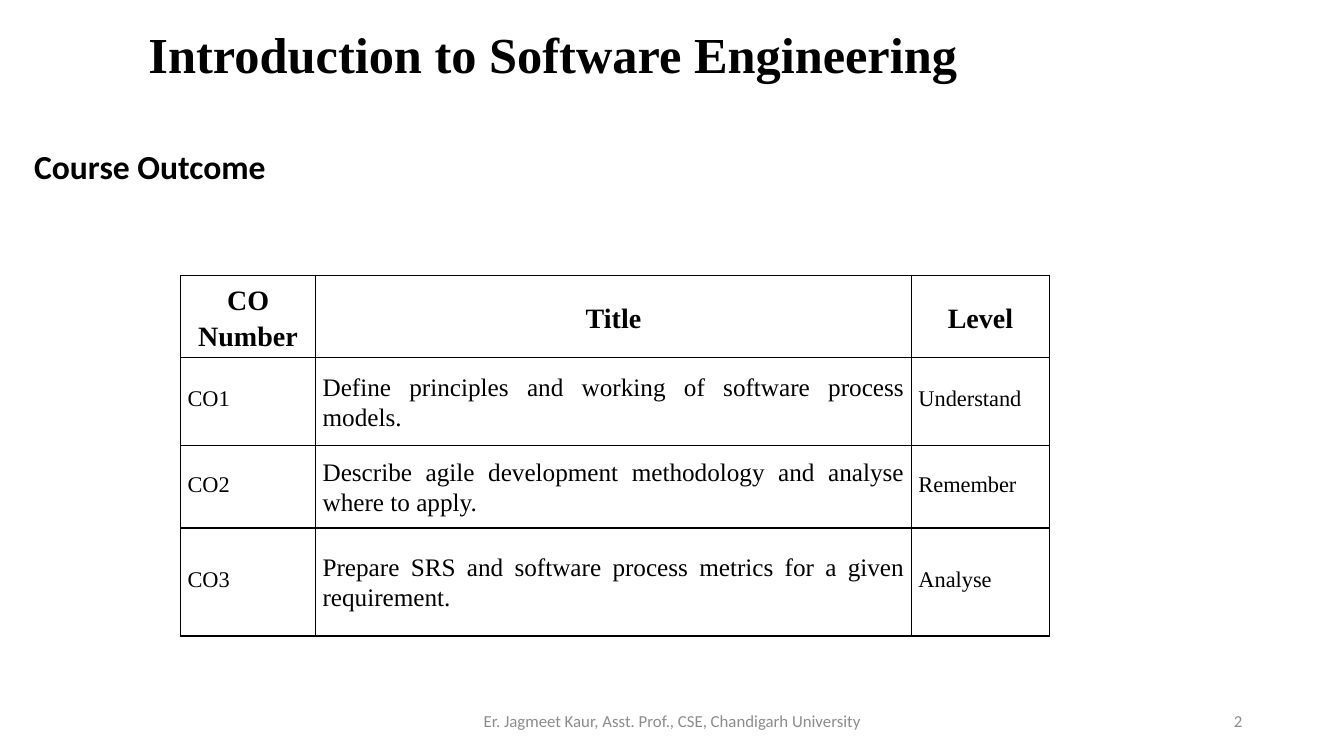
from lxml import etree
from pptx import Presentation
from pptx import util as u
from pptx.dml.color import RGBColor
from pptx.enum import text as t
from pptx.oxml.ns import qn

COLORS = {"ink": "000000", "muted": "8C8C8C", "paper": "FFFFFF"}
SERIF, SANS = "Times New Roman", "Calibri"
LEFT, CENTER, RIGHT, JUSTIFY = (
    t.PP_ALIGN.LEFT, t.PP_ALIGN.CENTER, t.PP_ALIGN.RIGHT, t.PP_ALIGN.JUSTIFY)
TOP, MIDDLE = t.MSO_ANCHOR.TOP, t.MSO_ANCHOR.MIDDLE

LABELS = [
    ("Introduction to Software Engineering", (1.05, 0.25, 8.87, 0.86),
     dict(size=36, font=SERIF, bold=True, align=CENTER, spacing=0.9)),
    ("Course Outcome", (0.24, 1.4, 2.6, 0.5), dict(size=24, bold=True)),
    ("2", (9.42, 6.95, 3, 0.4),
     dict(size=12, color="muted", align=RIGHT, anchor=MIDDLE)),
    ("Er. Jagmeet Kaur, Asst. Prof., CSE, Chandigarh University",
     (4.42, 6.95, 4.5, 0.4),
     dict(size=12, color="muted", align=CENTER, anchor=MIDDLE)),
]

OUTCOMES = [
    ("CO Number", "Title", "Level"),
    ("CO1", "Define principles and working of software process models.", "Understand"),
    ("CO2", "Describe agile development methodology and analyse where to apply.", "Remember"),
    ("CO3", "Prepare SRS and software process metrics for a given requirement.", "Analyse"),
]
TABLE_LEFT, TABLE_TOP = 1.79, 2.73
COLUMN_WIDTHS = [1.34, 5.91, 1.37]
ROW_HEIGHTS = [0.82, 0.87, 0.82, 1.07]

HEADER = dict(size=20, font=SERIF, bold=True, align=CENTER, spacing=1.15)
CODE = dict(size=16, font=SERIF, spacing=u.Pt(14.6))
SENTENCE = dict(size=18, font=SERIF, align=JUSTIFY, spacing=1.07, after=8)
BODY = [CODE, SENTENCE, CODE]


def write(frame, words, size, font=SANS, color="ink", bold=False,
          align=LEFT, spacing=1.0, after=0, anchor=TOP):
    frame.word_wrap = True
    frame.vertical_anchor = anchor
    para = frame.paragraphs[0]
    para.alignment = align
    para.line_spacing = spacing
    para.space_after = u.Pt(after)
    span = para.add_run()
    span.text = words
    span.font.size = u.Pt(size)
    span.font.name = font
    span.font.bold = bold
    span.font.color.rgb = RGBColor.from_string(COLORS[color])


def outline(cell):
    properties = cell._tc.get_or_add_tcPr()
    for side in ("lnL", "lnR", "lnT", "lnB"):
        line = etree.SubElement(properties, qn(f"a:{side}"), w=str(u.Pt(1)))
        fill = etree.SubElement(line, qn("a:solidFill"))
        etree.SubElement(fill, qn("a:srgbClr"), val=COLORS["ink"])


def add_outcomes(page):
    table = page.shapes.add_table(
        len(OUTCOMES), len(COLUMN_WIDTHS), u.Inches(TABLE_LEFT), u.Inches(TABLE_TOP),
        u.Inches(sum(COLUMN_WIDTHS)), u.Inches(sum(ROW_HEIGHTS))).table
    table.horz_banding = False
    for column, width in zip(table.columns, COLUMN_WIDTHS):
        column.width = u.Inches(width)
    for row, height in zip(table.rows, ROW_HEIGHTS):
        row.height = u.Inches(height)
    for r, outcome in enumerate(OUTCOMES):
        for c, words in enumerate(outcome):
            cell = table.cell(r, c)
            cell.margin_left = cell.margin_right = u.Inches(0.07)
            cell.margin_top = cell.margin_bottom = 0
            outline(cell)
            cell.fill.solid()
            cell.fill.fore_color.rgb = RGBColor.from_string(COLORS["paper"])
            write(cell.text_frame, words, **(BODY[c] if r else HEADER))
            cell.vertical_anchor = MIDDLE


def main():
    deck = Presentation()
    deck.slide_width, deck.slide_height = u.Inches(13.33), u.Inches(7.5)
    page = deck.slides.add_slide(deck.slide_layouts[6])
    for words, place, style in LABELS:
        box = page.shapes.add_textbox(*map(u.Inches, place))
        write(box.text_frame, words, **style)
    add_outcomes(page)
    deck.save("out.pptx")


if __name__ == "__main__":
    main()
